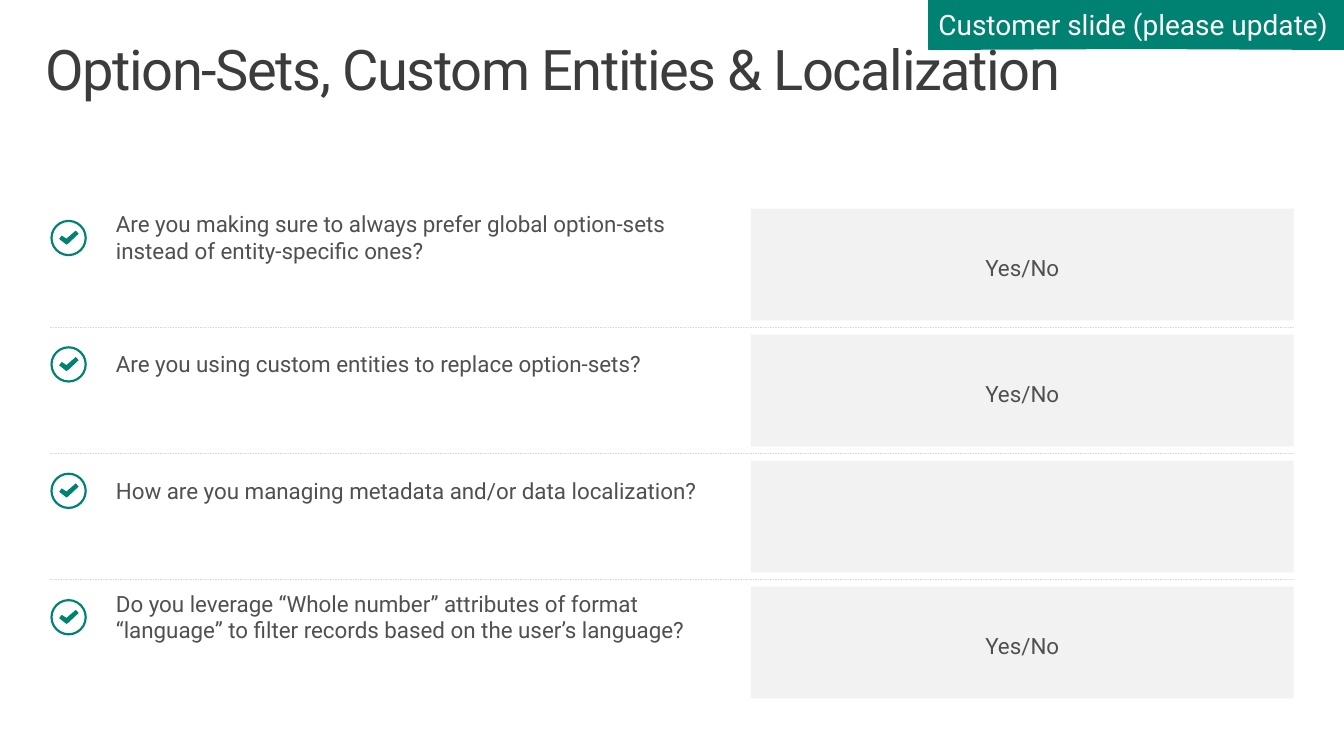
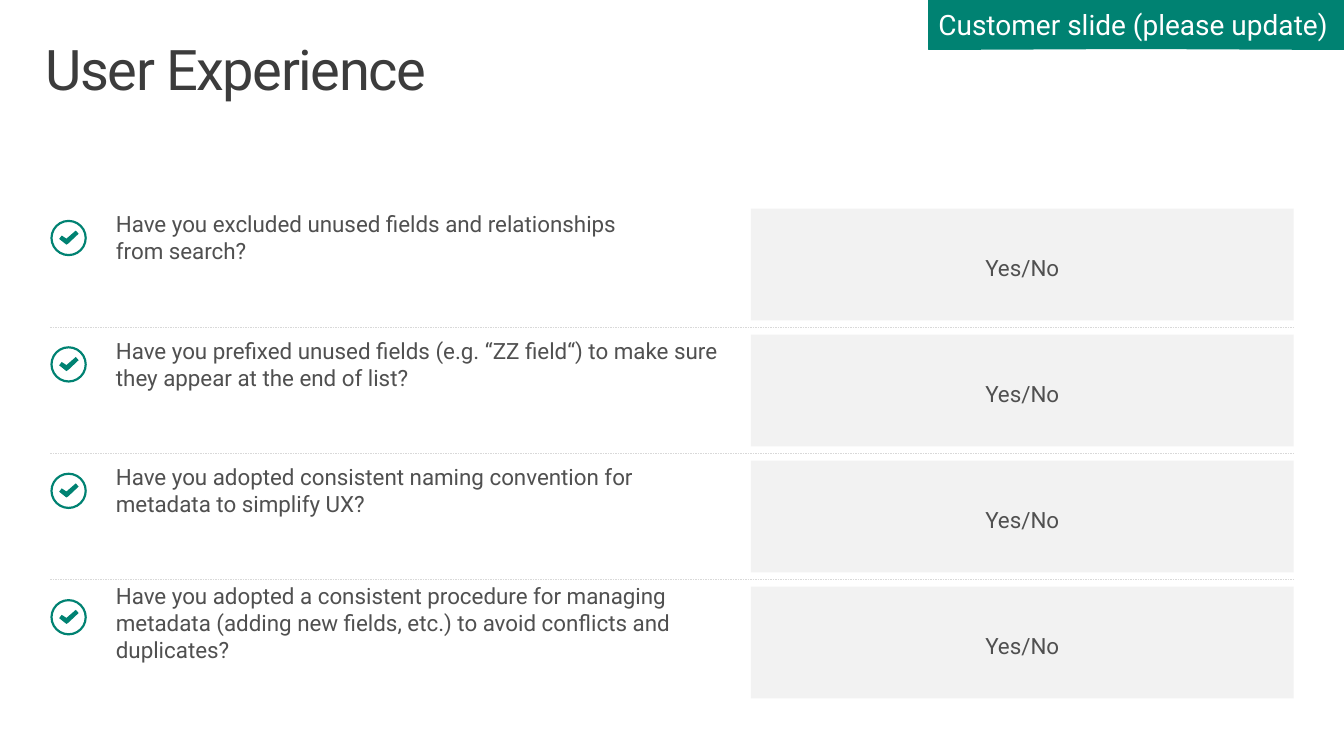
from lxml import etree
from pptx import Presentation
from pptx.dml.color import RGBColor
from pptx.enum.dml import MSO_LINE
from pptx.enum.shapes import MSO_CONNECTOR, MSO_SHAPE
from pptx.enum.text import MSO_ANCHOR, MSO_AUTO_SIZE, PP_ALIGN
from pptx.oxml.ns import qn
from pptx.util import Pt

LEFT, CENTER = PP_ALIGN.LEFT, PP_ALIGN.CENTER
TOP, MIDDLE = MSO_ANCHOR.TOP, MSO_ANCHOR.MIDDLE
RECT, DONUT = MSO_SHAPE.RECTANGLE, MSO_SHAPE.DONUT
STRAIGHT, DASH = MSO_CONNECTOR.STRAIGHT, MSO_LINE.DASH
NO_AUTOFIT = MSO_AUTO_SIZE.NONE

TEAL = RGBColor(0x00, 0x82, 0x72)
PALE_GRAY = RGBColor(0xF2, 0xF2, 0xF2)
RULE_GRAY = RGBColor(0xD9, 0xD9, 0xD9)
TITLE_GRAY = RGBColor(0x3C, 0x3C, 0x3C)
TEXT_GRAY = RGBColor(0x50, 0x50, 0x50)
WHITE = RGBColor(0xFF, 0xFF, 0xFF)

TAG = "Customer slide (please update)"
YES_NO = "Yes/No"
ONE_BOX, TALL_BOX = 41, 50

# Each row: question, answer, height of the question box
SLIDES = [
    ("Option-Sets, Custom Entities & Localization", [
        ("Are you making sure to always prefer global option-sets "
         "instead of entity-specific ones?", YES_NO, ONE_BOX),
        ("Are you using custom entities to replace option-sets?", YES_NO, ONE_BOX),
        ("How are you managing metadata and/or data localization?", "", ONE_BOX),
        ("Do you leverage “Whole number” attributes of format “language” "
         "to filter records based on the user’s language?", YES_NO, ONE_BOX),
    ]),
    ("User Experience", [
        ("Have you excluded unused fields and relationships\vfrom search?",
         YES_NO, ONE_BOX),
        ("Have you prefixed unused fields (e.g. “ZZ field“) to make sure "
         "they appear at the end of list?", YES_NO, ONE_BOX),
        ("Have you adopted consistent naming convention for metadata "
         "to simplify UX?", YES_NO, ONE_BOX),
        ("Have you adopted a consistent procedure for managing metadata "
         "(adding new fields, etc.) to avoid conflicts and duplicates?",
         YES_NO, TALL_BOX),
    ]),
]

# Text formats: font, alignment, anchor and insets (left, top, right, bottom)
TITLE = dict(size=40, color=TITLE_GRAY, align=LEFT, anchor=TOP,
             insets=(11.5, 7.2, 11.5, 7.2))
QUESTION = dict(size=16, color=TEXT_GRAY, align=LEFT, anchor=MIDDLE,
                insets=(43.2, 3.6, 7.2, 3.6))
ANSWER = dict(size=16, color=TEXT_GRAY, align=CENTER, anchor=MIDDLE,
              insets=(7.2, 7.2, 7.2, 3.6))
BANNER = dict(size=20, color=WHITE, align=LEFT, anchor=MIDDLE,
              insets=(7.2, 3.6, 7.2, 3.6))

SLIDE_W, SLIDE_H = 960, 540
MARGIN, RIGHT = 36, 924
ROW_TOP, ROW_STEP = 149, 90
QUESTION_STEP = 90.3
ANSWER_X, ANSWER_H = 536.4, 80
RULE_OFFSET = 85
ICON_OFFSET, ICON_SIZE = 8, 26
CHECK = [(18.2, 7.7), (11.5, 13.5), (8.1, 11.3), (6.3, 13.7), (10.7, 17.2),
         (11.5, 17.8), (13, 16.8), (20.2, 10)]


def write(sp, text, fmt):
    """Fill a shape with one formatted paragraph and return its run."""
    tf = sp.text_frame
    tf.word_wrap, tf.auto_size = True, NO_AUTOFIT
    tf.vertical_anchor = fmt["anchor"]
    for side, inset in zip(("left", "top", "right", "bottom"), fmt["insets"]):
        setattr(tf, f"margin_{side}", Pt(inset))
    tf.text = text
    p = tf.paragraphs[0]
    p.alignment = fmt["align"]
    for r in p.runs:
        r.font.name, r.font.size = "Roboto", Pt(fmt["size"])
        r.font.color.rgb = fmt["color"]
    return p.runs[0]


def paint(sp, color):
    """Give a shape a plain fill without outline or shadow."""
    sp.shadow.inherit = False
    sp.fill.solid()
    sp.fill.fore_color.rgb = color
    sp.line.fill.background()


def add_block(shapes, kind, box, color):
    """Add a plain preset shape at box (left, top, width, height)."""
    sp = shapes.add_shape(kind, *map(Pt, box))
    paint(sp, color)
    return sp


def add_title(s, text):
    """Place and format the title placeholder."""
    sp = s.shapes.title
    box = dict(left=21, top=23, width=918, height=70.5)
    for name, value in box.items():
        setattr(sp, name, Pt(value))
    r = write(sp, text, TITLE)
    r._r.get_or_add_rPr().set("spc", "-100")
    sp.text_frame.paragraphs[0].line_spacing = 0.9


def add_rule(s, y):
    """Draw a dashed row separator."""
    rule = s.shapes.add_connector(STRAIGHT, Pt(MARGIN), Pt(y), Pt(RIGHT), Pt(y))
    rule.line.color.rgb = RULE_GRAY
    rule.line.width, rule.line.dash_style = Pt(0.25), DASH
    etree.SubElement(rule._element.spPr, qn("a:effectLst"))


def add_check_icon(s, x, y):
    """Draw a ring with a check mark, grouped."""
    shapes = s.shapes.add_group_shape().shapes
    ring = add_block(shapes, DONUT, (x, y, ICON_SIZE, ICON_SIZE), TEAL)
    ring.adjustments[0] = 0.06
    points = [(Pt(x + dx), Pt(y + dy)) for dx, dy in CHECK]
    builder = shapes.build_freeform(*points[0])
    builder.add_line_segments(points[1:], close=True)
    paint(builder.convert_to_shape(), TEAL)


def add_row(s, i, question, answer, height):
    """Add one checklist row: question, icon and answer box."""
    y = ROW_TOP + i * QUESTION_STEP
    sp = s.shapes.add_textbox(Pt(39.6), Pt(y), Pt(486), Pt(height))
    write(sp, question, QUESTION)
    add_check_icon(s, MARGIN, y + ICON_OFFSET)
    box = (ANSWER_X, ROW_TOP + i * ROW_STEP, RIGHT - ANSWER_X, ANSWER_H)
    sp = add_block(s.shapes, RECT, box, PALE_GRAY)
    if answer:
        write(sp, answer, ANSWER)


def add_banner(s):
    """Add the tag in the top right corner."""
    sp = add_block(s.shapes, RECT, (663.2, 0, SLIDE_W - 663.2, 34.9), TEAL)
    sp.line.color.rgb, sp.line.width = TEAL, Pt(0.25)
    write(sp, TAG, BANNER)


def build_slide(prs, title, rows):
    """Build one checklist slide."""
    s = prs.slides.add_slide(prs.slide_layouts.get_by_name("Title Only"))
    add_title(s, title)
    for i in range(len(rows) - 1):
        add_rule(s, ROW_TOP + RULE_OFFSET + i * ROW_STEP)
    for i, row in enumerate(rows):
        add_row(s, i, *row)
    add_banner(s)


prs = Presentation()
prs.slide_width, prs.slide_height = Pt(SLIDE_W), Pt(SLIDE_H)
for title, rows in SLIDES:
    build_slide(prs, title, rows)
prs.save("out.pptx")
